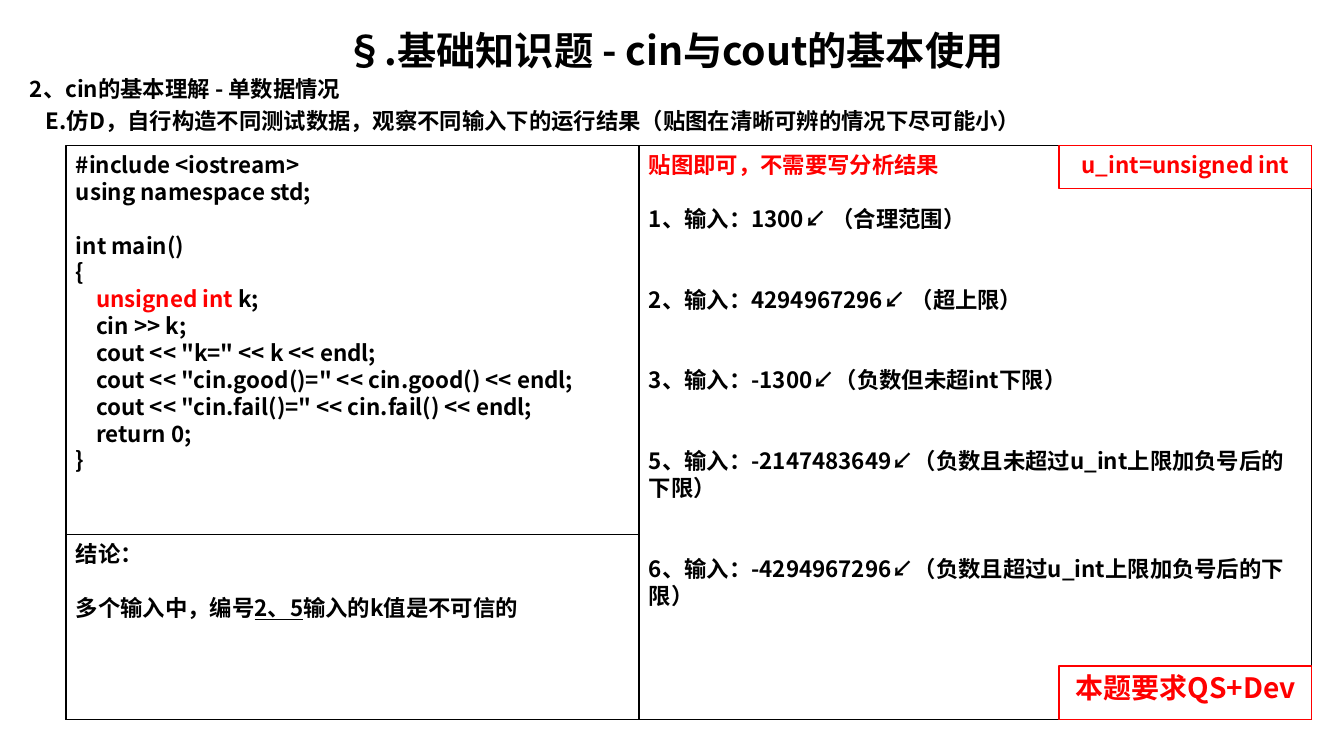
"""Build the slide with the unsigned-int cin exercise."""
from lxml import etree
from pptx import Presentation
from pptx.dml.color import RGBColor
from pptx.enum.shapes import MSO_SHAPE
from pptx.enum.text import MSO_ANCHOR, PP_ALIGN
from pptx.oxml.ns import qn
from pptx.util import Emu, Pt

RECTANGLE = MSO_SHAPE.RECTANGLE
TOP = MSO_ANCHOR.TOP
LEFT, CENTER = PP_ALIGN.LEFT, PP_ALIGN.CENTER
FONT = "Noto Sans CJK SC"
BLACK, RED = "000000", "FF0000"
PX = 914400 / 100.8
LINE = 27
LINE_RATIO = 1.2
BODY, LABEL, TITLE = 16, 20, 28

HEADING = [
    {"text": "§.基础知识题 - cin与cout的基本使用", "size": TITLE, "align": CENTER},
    {"text": "2、cin的基本理解 - 单数据情况", "before": 2},
    {"text": "E.仿D，自行构造不同测试数据，观察不同输入下的运行结果（贴图在清晰可辨的情况下尽可能小）",
     "before": 5, "indent": 16},
]
CODE = [
    {"text": "#include <iostream>"},
    {"text": "using namespace std;"},
    {"text": "int main()", "before": LINE},
    {"text": "{"},
    {"spans": [("    ", {}), ("unsigned int ", {"color": RED}), ("k;", {})]},
    {"text": "    cin >> k;"},
    {"text": '    cout << "k=" << k << endl;'},
    {"text": '    cout << "cin.good()=" << cin.good() << endl;'},
    {"text": '    cout << "cin.fail()=" << cin.fail() << endl;'},
    {"text": "    return 0;"},
    {"text": "}"},
]
INPUTS = [
    "1、输入：1300↙ （合理范围）",
    "2、输入：4294967296↙ （超上限）",
    "3、输入：-1300↙（负数但未超int下限）",
    "5、输入：-2147483649↙（负数且未超过u_int上限加负号后的下限）",
    "6、输入：-4294967296↙（负数且超过u_int上限加负号后的下限）",
]
RESULTS = [{"text": "贴图即可，不需要写分析结果", "color": RED}] + [
    {"text": text, "before": LINE * (2 if number else 1)}
    for number, text in enumerate(INPUTS)
]
CONCLUSION = [
    {"text": "结论："},
    {"before": LINE, "spans": [("多个输入中，编号", {}), ("2、5", {"underline": True}),
                               ("输入的k值是不可信的", {})]},
]
TOOLS = [{"text": "本题要求QS+Dev", "size": LABEL, "color": RED, "align": CENTER}]
ALIAS = [{"text": "u_int=unsigned int", "color": RED, "align": CENTER}]

GRID_LEFT, GRID_MIDDLE, GRID_RIGHT = 66, 639, 1312
GRID_TOP, GRID_SPLIT, GRID_BOTTOM = 146, 535, 720
LABEL_LEFT = 1059
PANELS = [
    (GRID_LEFT, GRID_TOP, GRID_MIDDLE, GRID_BOTTOM, BLACK, CODE),
    (GRID_MIDDLE, GRID_TOP, GRID_RIGHT, GRID_BOTTOM, BLACK, RESULTS),
    (LABEL_LEFT, 666, GRID_RIGHT, GRID_BOTTOM, RED, TOOLS),
    (GRID_LEFT, GRID_SPLIT, GRID_MIDDLE, GRID_BOTTOM, BLACK, CONCLUSION),
    (LABEL_LEFT, GRID_TOP, GRID_RIGHT, 189, RED, ALIAS),
]


def px(length):
    return Emu(round(length * PX))


def rgb(value):
    return RGBColor.from_string(value)


def add_span(para, text, size, color, underline=False):
    span = para.add_run()
    span.text = text
    font = span.font
    font.size, font.bold, font.name = Pt(size), True, FONT
    font.color.rgb = rgb(color)
    if underline:
        font.underline = True
    latin = span._r.get_or_add_rPr().find(qn("a:latin"))
    east_asian = etree.Element(qn("a:ea"), typeface=FONT)
    latin.addnext(east_asian)


def write(box, lines):
    frame = box.text_frame
    frame.word_wrap = True
    frame.vertical_anchor = TOP
    for index, line in enumerate(lines):
        para = frame.add_paragraph() if index else frame.paragraphs[0]
        size = line.get("size", BODY)
        para.alignment = line.get("align", LEFT)
        para.line_spacing = Pt(size * LINE_RATIO)
        if "before" in line:
            para.space_before = px(line["before"])
        if "indent" in line:
            para._p.get_or_add_pPr().set("marL", str(px(line["indent"])))
        for text, style in line.get("spans") or [(line["text"], {})]:
            add_span(para, text, size, **{"color": line.get("color", BLACK), **style})


def add_panel(page, left, top, right, bottom, color, lines):
    panel = page.shapes.add_shape(
        RECTANGLE, px(left), px(top), px(right - left), px(bottom - top))
    panel.shadow.inherit = False
    panel.fill.background()
    panel.line.color.rgb = rgb(color)
    panel.line.width = Pt(0.75)
    write(panel, lines)


def main():
    deck = Presentation()
    deck.slide_width, deck.slide_height = px(1344), px(756)
    page = deck.slides.add_slide(deck.slide_layouts[6])
    heading = page.shapes.add_textbox(px(20), px(21), px(1309), px(120))
    write(heading, HEADING)
    for panel in PANELS:
        add_panel(page, *panel)
    deck.save("out.pptx")


if __name__ == "__main__":
    main()
